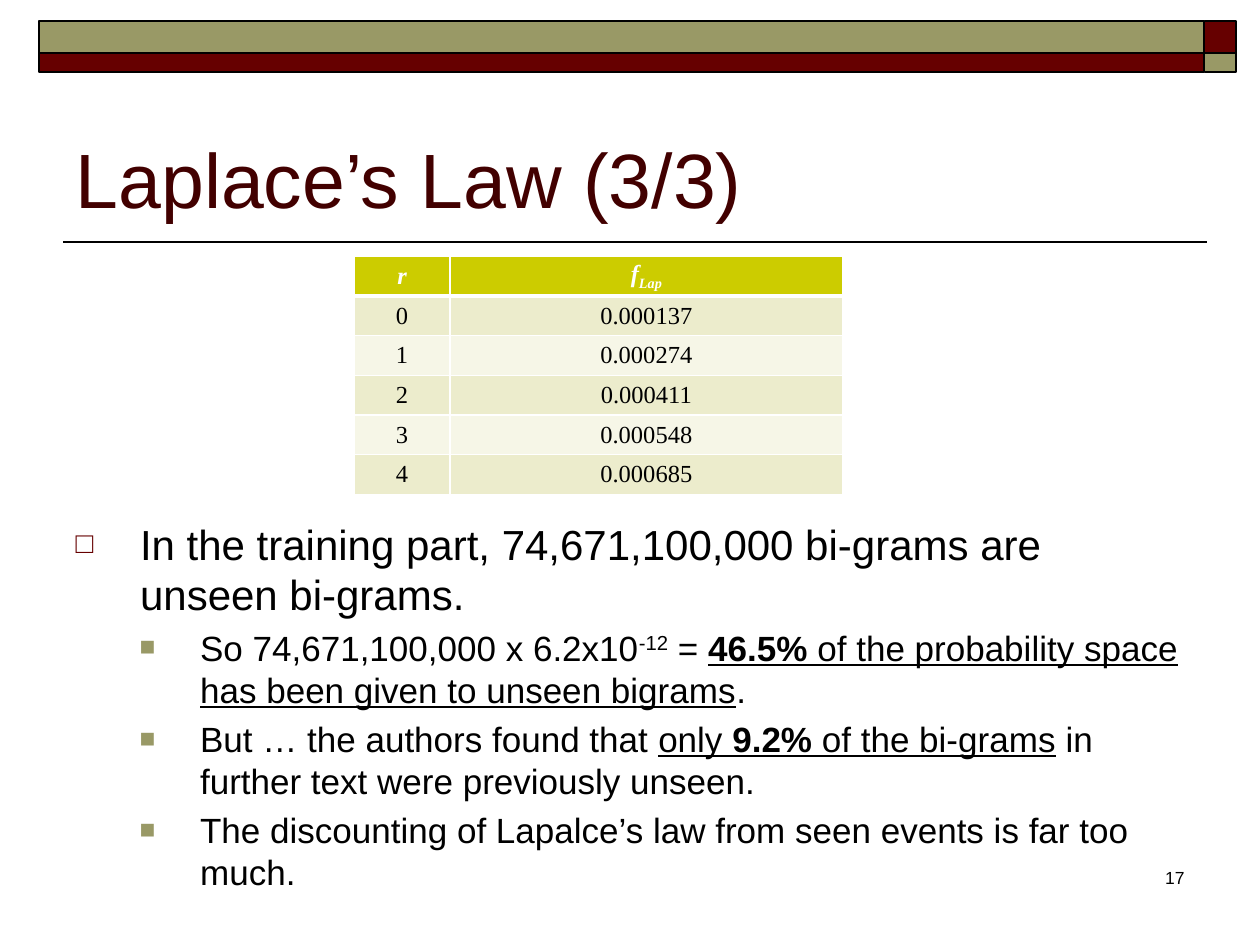
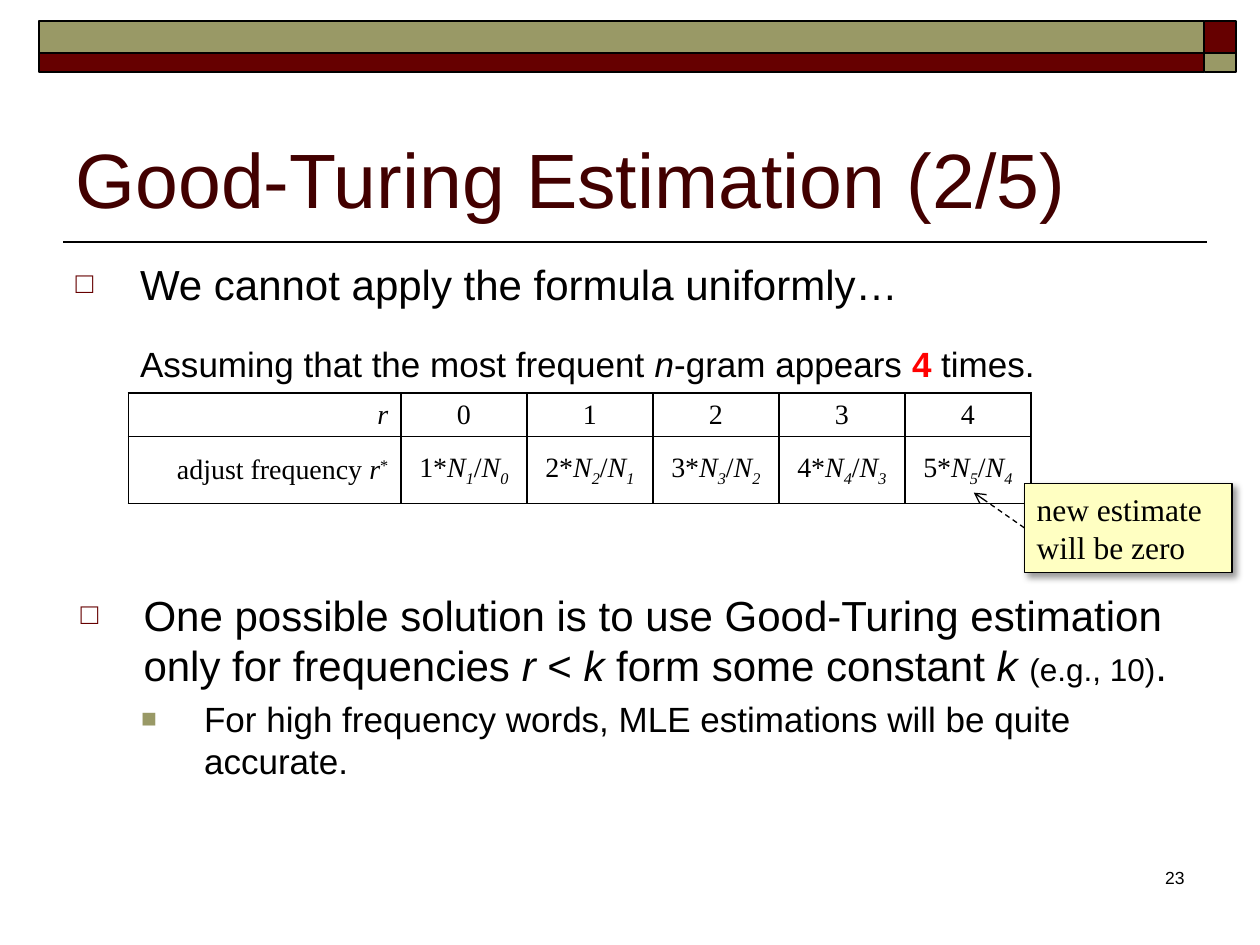
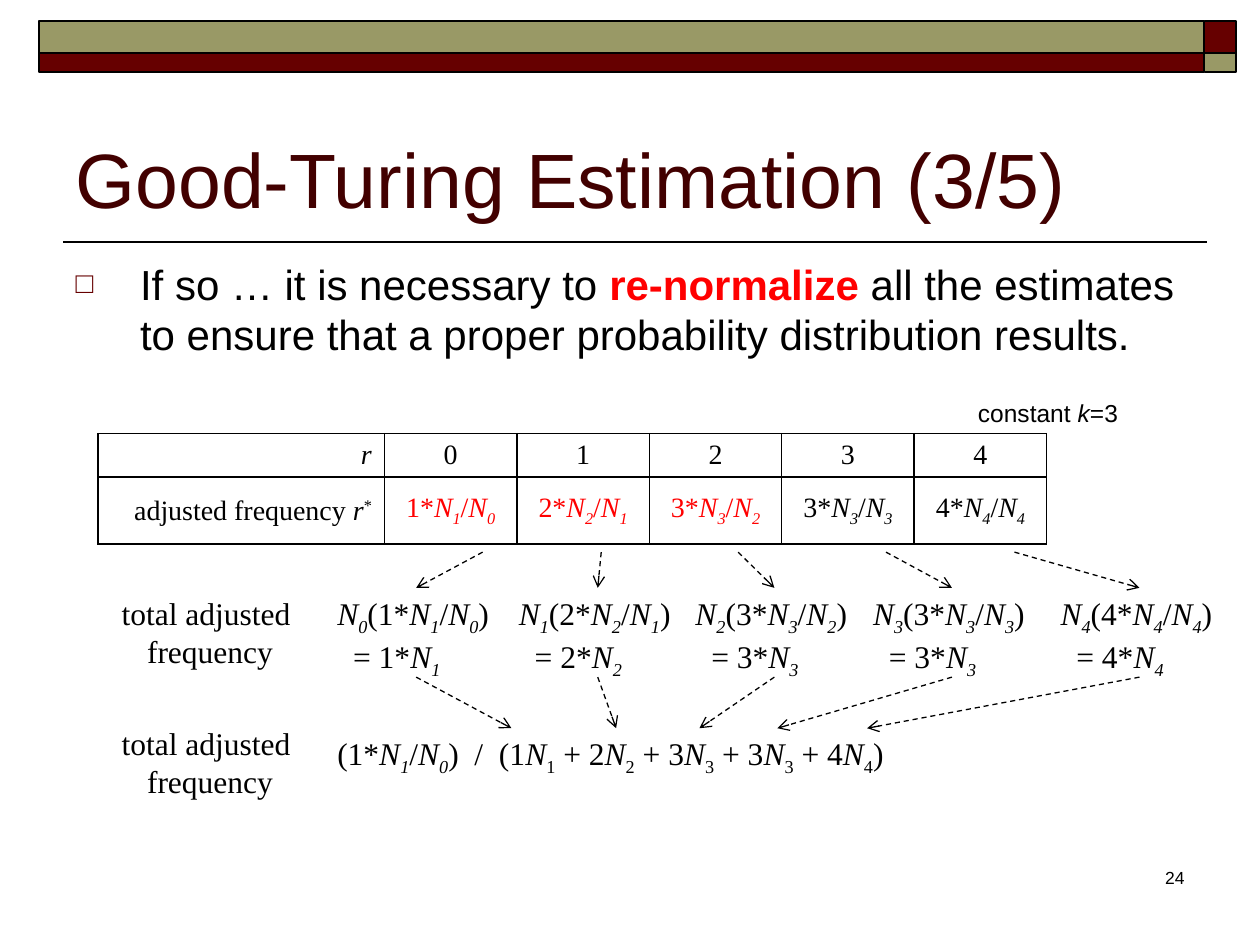
from lxml.etree import SubElement
from pptx import Presentation
from pptx.dml.color import RGBColor
from pptx.enum.dml import MSO_LINE
from pptx.enum.shapes import MSO_CONNECTOR as Link, MSO_SHAPE as Form
from pptx.enum.text import MSO_ANCHOR as Anchor, MSO_AUTO_SIZE as Fit, PP_ALIGN as Align
from pptx.oxml.ns import qn
from pptx.util import Cm, Pt

OLIVE, WINE, DARK = "999966", "660000", "420000"
BLACK, WHITE, RED = "000000", "FFFFFF", "FF0000"
GOLD, CREAM, PALE, NOTE = "CCCC00", "ECECCC", "F6F6E7", "FFFFC2"
SANS, SERIF = "Arial", "Times New Roman"

BANDS = [
    ((0.79, 0.43, 23.49, 0.64), OLIVE),
    ((24.28, 0.43, 0.64, 0.64), WINE),
    ((0.79, 1.07, 23.49, 0.38), WINE),
    ((24.28, 1.07, 0.64, 0.38), OLIVE),
]
RULE = (24.33, 4.88, 1.27, 4.88)
TITLE = (1.27, 1.47, 22.86, 3.18)
BODY = (1.27, 5.08, 22.86, 11.94)
LOW = (1.27, 10.32, 22.86, 6.7)
PAGE = (18.85, 17.35, 5.28, 1.27)

TOP = dict(level=0, left=1.3, hang=-1.3, mark="□", tint=WINE, scale=70, size=24)
SUB = dict(level=1, left=2.51, hang=-1.22, mark="■", tint=OLIVE, scale=75, size=20)
WIDE = dict(left=1.37, hang=-1.27)
DEEP = dict(left=2.59, hang=-1.27)
PLAIN = dict(level=1, left=1.3, hang=0, mark="", size=20)


def item(kind, *runs, **extra):
    return {**kind, "runs": runs, **extra}


def ratio(num, up, down):
    return [f"{num}*", ("N", "i"), (up, "i_"), "/", ("N", "i"), (down, "i_")]


LAPLACE = [
    item(TOP, "In the training part, 74,671,100,000 bi-grams are unseen bi-grams."),
    item(SUB, "So 74,671,100,000 x 6.2x10", ("-12", "^"), " = ", ("46.5%", "bu"),
         (" of the probability space has been given to unseen bigrams", "u"), "."),
    item(SUB, "But … the authors found that ", ("only ", "u"), ("9.2%", "bu"),
         (" of the bi-grams", "u"), " in further text were previously unseen."),
    item(SUB, "The discounting of Lapalce’s law from seen events is far too much."),
]
UNIFORM = [
    item(TOP, "We cannot apply the formula uniformly…"),
    item(PLAIN, "Assuming that the most frequent ", ("n", "i"), "-gram appears ",
         ("4", "br"), " times.", before=19.4),
    item(TOP, "One possible solution is to use Good-Turing estimation only for frequencies ",
         ("r", "i"), " < ", ("k", "i"), " form some constant ", ("k ", "i"),
         ("(e.g., 10)", "", 18), ".", before=117, **WIDE),
    item(SUB, "For high frequency words, MLE estimations will be quite accurate.", **DEEP),
]
NORMAL = [
    item(TOP, "If so … it is necessary to ", ("re-normalize", "br"),
         " all the estimates to ensure that a proper probability distribution results."),
    item(PLAIN, "constant ", ("k", "i"), "=3", left=18.19, size=14, before=22.4),
]
LAP = ["0.000137", "0.000274", "0.000411", "0.000548", "0.000685"]
RAW = [(n + 1, n + 1, n) for n in range(5)]
FIXED = [(1, 1, 0), (2, 2, 1), (3, 3, 2), (3, 3, 3), (4, 4, 4)]
LABEL = [["total adjusted "], ["frequency"]]
WHOLE = [*ratio(1, 1, 0), ")  /  (1", ("N", "i"), (1, "_")]
for num in (2, 3, 3, 4):
    WHOLE += [f" + {num}", ("N", "i"), (num, "_")]
WHOLE = ["(", *WHOLE, ")"]

TERMS = [6.55, 10.21, 13.77, 17.35, 21.13]
STARTS = [9.73, 12.12, 14.88, 17.86, 20.45]
ENDS = [10.31, 12.42, 14.1, 15.67, 17.48]


def rgb(code):
    return RGBColor.from_string(code)


def cms(box):
    return [Cm(side) for side in box]


def place(shape, box):
    shape.left, shape.top, shape.width, shape.height = cms(box)


def style(para, runs, size=18, font=SERIF, hue=BLACK, align=None, level=0,
          left=None, hang=0, before=None, mark=None, tint=None, scale=100):
    para.level = level
    if align is not None:
        para.alignment = align
    if before is not None:
        para.space_before = Pt(before)
    props = para._p.get_or_add_pPr()
    if left is not None:
        props.set("marL", str(Cm(left)))
        props.set("indent", str(Cm(hang)))
    if mark:
        SubElement(SubElement(props, qn("a:buClr")), qn("a:srgbClr"), val=tint)
        SubElement(props, qn("a:buSzPct"), val=str(scale * 1000))
        SubElement(props, qn("a:buFont"), typeface=SANS)
        SubElement(props, qn("a:buChar"), char=mark)
    elif mark == "":
        SubElement(props, qn("a:buNone"))
    for part in runs:
        text, keys, own = (*((part,) if isinstance(part, str) else part), "", None)[:3]
        run = para.add_run()
        run.text = str(text)
        face = run.font
        face.name, face.size = font, Pt(own or size)
        face.bold, face.italic = "b" in keys, "i" in keys
        face.color.rgb = rgb(RED if "r" in keys else hue)
        if "u" in keys:
            face.underline = True
        for sign, shift in (("^", "30000"), ("_", "-25000")):
            if sign in keys:
                run._r.get_or_add_rPr().set("baseline", shift)


def write(frame, lines, **look):
    for spot, line in enumerate(lines):
        para = frame.add_paragraph() if spot else frame.paragraphs[0]
        own = line if isinstance(line, dict) else {"runs": line}
        style(para, **{**look, **own})


def label(slide, box, lines, wrap=False, **look):
    frame = slide.shapes.add_textbox(*cms(box)).text_frame
    frame.word_wrap = wrap
    frame.auto_size = Fit.NONE if wrap else Fit.SHAPE_TO_FIT_TEXT
    write(frame, lines, **look)


def block(slide, box, fill, width):
    shape = slide.shapes.add_shape(Form.RECTANGLE, *cms(box))
    shape.shadow.inherit = False
    shape.fill.solid()
    shape.fill.fore_color.rgb = rgb(fill)
    shape.line.color.rgb = rgb(BLACK)
    shape.line.width = Pt(width)
    return shape


def line(slide, ends, width=0.75, arrow=True):
    link = slide.shapes.add_connector(Link.STRAIGHT, *cms(ends))
    link.line.color.rgb = rgb(BLACK)
    link.line.width = Pt(width)
    props = link.element.spPr
    if arrow:
        link.line.dash_style = MSO_LINE.DASH
        SubElement(props.find(qn("a:ln")), qn("a:tailEnd"), type="arrow")
    SubElement(props, qn("a:effectLst"))
    return link


def border(cell, hue, sides):
    props = cell._tc.get_or_add_tcPr()
    for spot, (side, width) in enumerate(sides.items()):
        edge = SubElement(props, qn(f"a:ln{side}"), w=str(Pt(width)))
        SubElement(SubElement(edge, qn("a:solidFill")), qn("a:srgbClr"), val=hue)
        props.insert(spot, edge)


def grid(slide, spot, cols, rows, cells, edge=BLACK, thick=None):
    size = (sum(cols), sum(rows))
    table = slide.shapes.add_table(len(rows), len(cols), *cms(spot + size)).table
    table.first_row = table.horz_banding = False
    for col, width in zip(table.columns, cols):
        col.width = Cm(width)
    for r, height in enumerate(rows):
        table.rows[r].height = Cm(height)
        for c, (runs, fill, look) in enumerate(cells[r]):
            cell = table.cell(r, c)
            cell.vertical_anchor = Anchor.MIDDLE
            cell.margin_top = cell.margin_bottom = Cm(0.09)
            if fill:
                cell.fill.solid()
                cell.fill.fore_color.rgb = rgb(fill)
            else:
                cell.fill.background()
            border(cell, edge, {"L": 1, "R": 1, "T": 3 if r == thick else 1,
                                "B": 3 if r + 1 == thick else 1})
            write(cell.text_frame, [runs], **{"align": Align.CENTER, **look})


def counts(slide, spot, first, step, name, ratios, reds=0):
    side = dict(size=16, align=Align.RIGHT)
    head = [([("r", "i")], None, side)]
    head += [([str(n)], None, dict(size=16)) for n in range(5)]
    base = [([name, ("r", "i"), ("*", "^")], None, side)]
    base += [(ratio(*nums), None, dict(size=16, hue=RED if n < reds else BLACK))
             for n, nums in enumerate(ratios)]
    grid(slide, spot, [first] + [step] * 5, [0.88, 1.35], [head, base])


def start(title, lines, page, box=None):
    slide = deck.slides.add_slide(layout)
    head, body = slide.placeholders
    write(head.text_frame, [[title]], size=44, font=SANS, hue=DARK, align=Align.LEFT)
    write(body.text_frame, lines, font=SANS)
    if box:
        place(body, box)
    label(slide, PAGE, [[page]], wrap=True, size=10, font=SANS, align=Align.RIGHT)
    return slide


deck = Presentation()
deck.slide_width, deck.slide_height = Cm(25.4), Cm(19.05)
layout = deck.slide_layouts[1]
head, body, *spare = layout.placeholders
for shape in spare:
    shape.element.getparent().remove(shape.element)
for shape, box, anchor in ((head, TITLE, Anchor.BOTTOM), (body, BODY, Anchor.TOP)):
    place(shape, box)
    shape.text_frame.vertical_anchor = anchor
    shape.text_frame.auto_size = Fit.NONE

slide = start("Laplace’s Law (3/3)", LAPLACE, "17", LOW)
decor = [block(slide, box, fill, 1) for box, fill in BANDS]
decor.append(line(slide, RULE, 1, arrow=False))
for shape in decor:
    layout.element.cSld.spTree.insert(2, shape.element)

white = dict(size=14, hue=WHITE)
cells = [[([("r", "bi")], GOLD, white), ([("f", "bi"), ("Lap", "bi_")], GOLD, white)]]
for n, value in enumerate(LAP):
    fill = PALE if n % 2 else CREAM
    cells.append([([text], fill, dict(size=14)) for text in (str(n), value)])
grid(slide, (7.14, 5.16), [1.93, 7.92], [0.8] * 6, cells, edge=WHITE, thick=1)

slide = start("Good-Turing Estimation (2/5)", UNIFORM, "23")
counts(slide, (2.59, 7.92), 5.49, 2.54, "adjust frequency ", RAW)
note = block(slide, (20.65, 9.75, 4.19, 1.8), NOTE, 0.75)
note.text_frame.word_wrap = False
write(note.text_frame, [["new estimate "], ["will be zero"]], align=Align.LEFT)
shade = SubElement(note.element.spPr.find(qn("a:effectLst")), qn("a:outerShdw"),
                   blurRad=str(Pt(4)), dist=str(Pt(3)), dir="2700000", algn="tl")
tone = SubElement(shade, qn("a:srgbClr"), val=BLACK)
SubElement(tone, qn("a:alpha"), val="40000")
line(slide, (20.65, 10.64, 19.63, 9.93))

slide = start("Good-Turing Estimation (3/5)", NORMAL, "24")
counts(slide, (1.98, 8.74), 5.77, 2.67, "adjusted frequency ", FIXED, reds=3)
for n, (left, begin, end, nums) in enumerate(zip(TERMS, STARTS, ENDS, FIXED)):
    total = item({}, f"= {nums[0]}*", ("N", "i"), (nums[1], "i_"), left=0.32)
    term = [("N", "i"), (n, "i_"), "(", *ratio(*nums), ")"]
    label(slide, (left, 11.85, 3.68, 1.8), [term, total])
    mid = left + 1.84
    line(slide, (begin, 11.13, mid, 11.85))
    line(slide, (mid, 13.65, end, 14.68))
for top in (11.85, 14.48):
    label(slide, (2.18, top, 4.11, 1.8), LABEL, align=Align.CENTER)
label(slide, (6.55, 14.68, 11.76, 1.02), [WHOLE])

deck.save("out.pptx")
